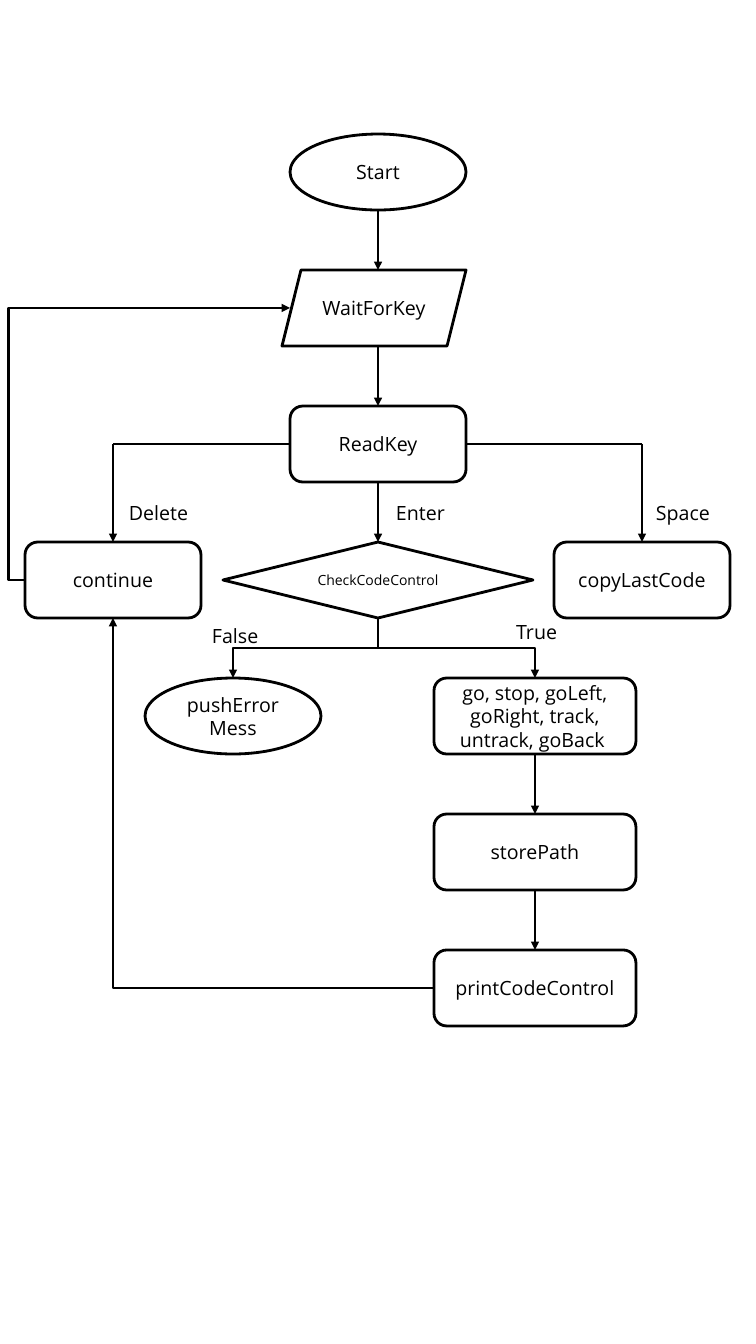
"""Flowchart of reading keys and checking control codes."""
import lxml.etree
import pptx
import pptx.dml.color
import pptx.enum.shapes
import pptx.enum.text
import pptx.oxml.ns
import pptx.util

SHAPE = pptx.enum.shapes.MSO_SHAPE
CONN = pptx.enum.shapes.MSO_CONNECTOR
ALIGN = pptx.enum.text.PP_ALIGN
qn = pptx.oxml.ns.qn
PX = 914400 / 100.8
ROW_TOP, ROW_PITCH, BOX_H = 134, 136, 76
LEFT_X, ERROR_X, MID_X, TRUE_X, RIGHT_X = 113, 233, 378, 535, 642
top = [ROW_TOP + ROW_PITCH * i for i in range(7)]
mid = [y + BOX_H // 2 for y in top]
bottom = [y + BOX_H for y in top]


def rgb(value):
    return pptx.dml.color.RGBColor.from_string(value)


def write(sp, text, size, align):
    tf = sp.text_frame
    tf.word_wrap = True
    p = tf.paragraphs[0]
    p.text = text
    p.alignment = align
    font = p.runs[0].font
    font.name = "Open Sans"
    font.size = pptx.util.Pt(size)
    font.color.rgb = rgb("000000")


prs = pptx.Presentation()
prs.slide_width = round(756 * PX)
prs.slide_height = round(1344 * PX)
s = prs.slides.add_slide(prs.slide_layouts[6])

nodes = [
    (SHAPE.OVAL, MID_X, 0, 176, "Start", 14),
    (SHAPE.PARALLELOGRAM, 374, 1, 184, "WaitForKey", 14),
    (SHAPE.ROUNDED_RECTANGLE, MID_X, 2, 176, "ReadKey", 14),
    (SHAPE.FLOWCHART_DECISION, MID_X, 3, 310, "CheckCodeControl", 10),
    (SHAPE.ROUNDED_RECTANGLE, RIGHT_X, 3, 176, "copyLastCode", 14),
    (SHAPE.ROUNDED_RECTANGLE, LEFT_X, 3, 176, "continue", 14),
    (SHAPE.FLOWCHART_CONNECTOR, ERROR_X, 4, 176, "pushErrorMess", 14),
    (SHAPE.ROUNDED_RECTANGLE, TRUE_X, 4, 202, "go, stop, goLeft, goRight, track, untrack, goBack ", 14),
    (SHAPE.ROUNDED_RECTANGLE, TRUE_X, 5, 202, "storePath", 14),
    (SHAPE.ROUNDED_RECTANGLE, TRUE_X, 6, 202, "printCodeControl", 14),
]
for kind, x, row, w, text, size in nodes:
    box = (x - w / 2, top[row], w, BOX_H)
    sp = s.shapes.add_shape(kind, *[round(v * PX) for v in box])
    sp.shadow.inherit = False
    sp.fill.background()
    sp.line.color.rgb = rgb("000000")
    sp.line.width = pptx.util.Pt(2)
    sp.text_frame.vertical_anchor = pptx.enum.text.MSO_ANCHOR.MIDDLE
    write(sp, text, size, ALIGN.CENTER)

labels = [
    (386, 496, 81, "Enter", ALIGN.LEFT),
    (646, 496, 85, "Space", ALIGN.LEFT),
    (119, 496, 85, "Delete", ALIGN.LEFT),
    (202, 619, 81, "False", ALIGN.LEFT),
    (486, 615, 81, "True", ALIGN.RIGHT),
]
for x, y, w, text, align in labels:
    sp = s.shapes.add_textbox(*[round(v * PX) for v in (x, y, w, 34)])
    sp.text_frame.auto_size = pptx.enum.text.MSO_AUTO_SIZE.SHAPE_TO_FIT_TEXT
    write(sp, text, 14, align)

links = [(CONN.STRAIGHT, MID_X, bottom[i], MID_X, top[i + 1], True) for i in range(3)]
links += [(CONN.STRAIGHT, TRUE_X, bottom[i], TRUE_X, top[i + 1], True) for i in (4, 5)]
for edge_x, end_x in ((290, LEFT_X), (466, RIGHT_X)):
    links.append((CONN.STRAIGHT, edge_x, mid[2], end_x, mid[2], False))
    links.append((CONN.STRAIGHT, end_x, mid[2], end_x, top[3], True))
for branch_x in (ERROR_X, TRUE_X):
    cx, cy = (MID_X + branch_x) / 2, (bottom[3] + top[4]) / 2
    dx, dy = (branch_x - MID_X) / 2, (top[4] - bottom[3]) / 2
    links.append((CONN.ELBOW, cx - dy, cy + dx, cx + dy, cy - dx, True))
loop = (CONN.ELBOW, 25, mid[3], 290, mid[1], True)
back = (CONN.ELBOW, 434, mid[6], LEFT_X, bottom[3], True)
for link in links + [loop, back]:
    kind, *ends, arrow = link
    cxn = s.shapes.add_connector(kind, *[round(v * PX) for v in ends])
    cxn.line.color.rgb = rgb("000000")
    cxn.line.width = pptx.util.Pt(2)
    spPr = cxn._element.spPr
    lxml.etree.SubElement(spPr, qn("a:effectLst"))
    if arrow:
        lxml.etree.SubElement(spPr.find(qn("a:ln")), qn("a:tailEnd"), type="triangle")
    geom = spPr.find(qn("a:prstGeom"))
    if link == loop:
        guides = geom.find(qn("a:avLst"))
        lxml.etree.SubElement(guides, qn("a:gd"), name="adj1", fmla="val -6200")
    elif link == back:
        geom.set("prst", "bentConnector2")
    elif kind == CONN.ELBOW:
        spPr.find(qn("a:xfrm")).set("rot", "5400000")

prs.save("out.pptx")
